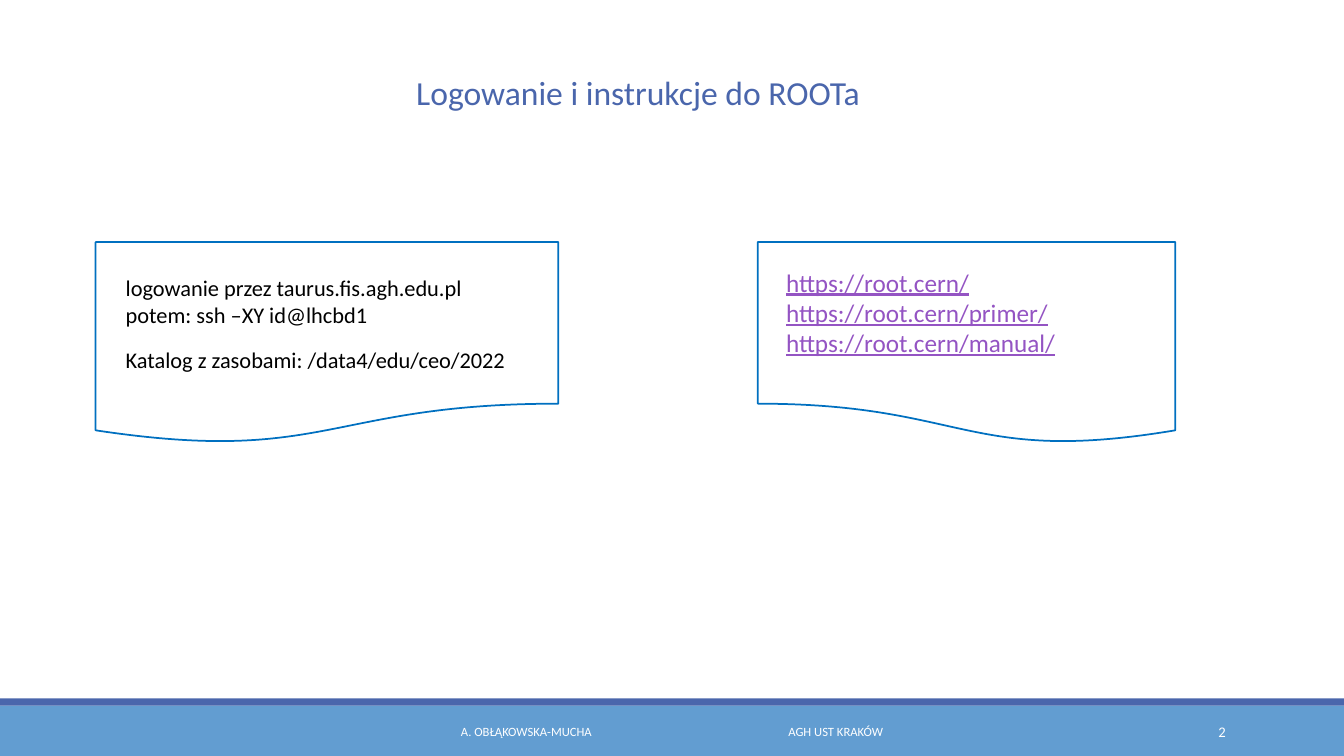
import pptx
import pptx.util
import pptx.dml.color
import pptx.enum.shapes
import pptx.enum.text

Cm = pptx.util.Cm
Pt = pptx.util.Pt
RGBColor = pptx.dml.color.RGBColor
MSO_SHAPE = pptx.enum.shapes.MSO_SHAPE
PP_ALIGN = pptx.enum.text.PP_ALIGN
MSO_ANCHOR = pptx.enum.text.MSO_ANCHOR

WHITE = RGBColor(0xFF, 0xFF, 0xFF)
BLACK = RGBColor(0x00, 0x00, 0x00)
INDIGO = RGBColor(0x4A, 0x66, 0xAC)
SKY = RGBColor(0x62, 0x9D, 0xD1)
OUTLINE = RGBColor(0x00, 0x70, 0xC0)
LINK = RGBColor(0x94, 0x54, 0xC3)

SLIDE_WIDTH = 33.87
SLIDE_HEIGHT = 19.05
CARD_TOP = 6.1
CARD_HEIGHT = 5.08
FOOTER_TOP = 17.93


def add_text(shapes, text, left, top, width, height, size=16, color=BLACK,
             align=PP_ALIGN.LEFT, anchor=MSO_ANCHOR.TOP, underline=None, wrap=False):
    box = shapes.add_textbox(Cm(left), Cm(top), Cm(width), Cm(height))
    frame = box.text_frame
    frame.word_wrap = wrap
    frame.vertical_anchor = anchor
    frame.text = text
    for paragraph in frame.paragraphs:
        paragraph.alignment = align
        for run in paragraph.runs:
            run.font.name = "Calibri"
            run.font.size = Pt(size)
            run.font.color.rgb = color
            run.font.underline = underline


def add_bar(shapes, top, height, color):
    bar = shapes.add_shape(MSO_SHAPE.RECTANGLE, 0, Cm(top), Cm(SLIDE_WIDTH), Cm(height))
    bar.shadow.inherit = False
    bar.fill.solid()
    bar.fill.fore_color.rgb = color
    bar.line.fill.background()


def add_card(shapes, left, width, mirrored=False):
    card = shapes.add_shape(MSO_SHAPE.FLOWCHART_DOCUMENT, Cm(left), Cm(CARD_TOP),
                            Cm(width), Cm(CARD_HEIGHT))
    card.shadow.inherit = False
    card.fill.background()
    card.line.color.rgb = OUTLINE
    card.line.width = Pt(1.25)
    if mirrored:
        card._element.spPr.xfrm.set("flipH", "1")


def add_footer(shapes):
    add_bar(shapes, 17.78, 1.27, SKY)
    add_bar(shapes, 17.6, 0.18, INDIGO)
    for text, left, width, size, align in (
        ("A. OBŁĄKOWSKA-MUCHA", 10.24, 6.05, 9, PP_ALIGN.CENTER),
        ("AGH UST KRAKÓW", 18.5, 5.12, 9, PP_ALIGN.CENTER),
        ("2", 27.51, 3.63, 10.5, PP_ALIGN.RIGHT),
    ):
        add_text(shapes, text, left, FOOTER_TOP, width, 1.02, size=size, color=WHITE,
                 align=align, anchor=MSO_ANCHOR.MIDDLE, wrap=True)


def add_login(shapes):
    login = shapes.add_group_shape().shapes
    add_text(login, "logowanie przez taurus.fis.agh.edu.pl\npotem: ssh –XY id@lhcbd1",
             2.92, 6.78, 9.07, 1.63)
    add_text(login, "Katalog z zasobami: /data4/edu/ceo/2022", 2.92, 8.61, 12.04, 0.94,
             wrap=True)
    add_card(login, 2.41, 11.66)


def add_manuals(shapes):
    manuals = shapes.add_group_shape().shapes
    add_text(manuals,
             "https://root.cern/\nhttps://root.cern/primer/\nhttps://root.cern/manual/",
             19.56, 6.6, 7.39, 3.33, size=18, color=LINK, underline=True)
    add_card(manuals, 19.1, 10.52, mirrored=True)


def main():
    deck = pptx.Presentation()
    deck.slide_width = Cm(SLIDE_WIDTH)
    deck.slide_height = Cm(SLIDE_HEIGHT)
    shapes = deck.slides.add_slide(deck.slide_layouts[6]).shapes
    add_footer(shapes)
    add_login(shapes)
    add_manuals(shapes)
    add_text(shapes, "Logowanie i instrukcje do ROOTa", 10.24, 1.68, 11.79, 1.27,
             size=24, color=INDIGO)
    deck.save("out.pptx")


if __name__ == "__main__":
    main()
